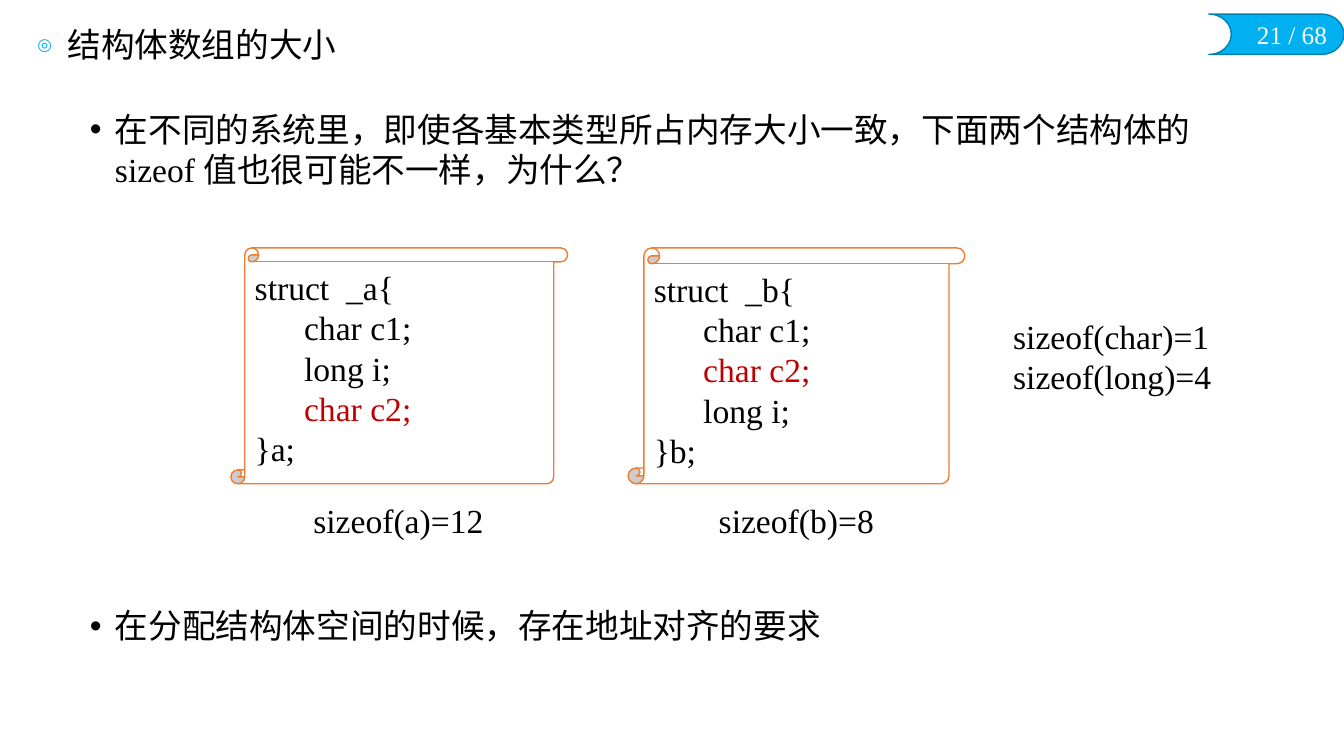
from dataclasses import dataclass

from lxml.etree import SubElement
from pptx import Presentation
from pptx.dml.color import RGBColor
from pptx.enum.shapes import MSO_SHAPE as Shape
from pptx.enum.text import MSO_ANCHOR as Anchor, MSO_AUTO_SIZE as AutoSize, PP_ALIGN as Align
from pptx.oxml.ns import qn
from pptx.util import Inches, Pt


@dataclass(frozen=True)
class Theme:
    font: str = "Times New Roman"
    text_size: int = 24
    number_size: int = 18
    black: str = "000000"
    white: str = "FFFFFF"
    red: str = "C00000"
    blue: str = "00B0F0"
    dark_blue: str = "0082B2"
    orange: str = "ED7D31"


theme = Theme()


def write(frame, lines, size=theme.text_size, color=theme.black, accent=None,
          align=Align.LEFT, anchor=Anchor.TOP, wrap=True, spacing=1.0,
          bullet=None, bullet_color=None, indent=0, tab=None, gap=0):
    """Fill a text frame; accent is a line shown in red, gap the points between lines."""
    frame.auto_size = AutoSize.NONE
    frame.word_wrap = wrap
    frame.vertical_anchor = anchor
    for index, line in enumerate(lines):
        paragraph = frame.add_paragraph() if index else frame.paragraphs[0]
        paragraph.alignment = align
        paragraph.line_spacing = spacing
        paragraph.space_before = Pt(gap if index else 0)
        paragraph.space_after = Pt(0)
        properties = paragraph._p.get_or_add_pPr()
        if bullet:
            properties.set("marL", str(Inches(indent)))
            properties.set("indent", str(-Inches(indent)))
            if bullet_color:
                color_element = SubElement(properties, qn("a:buClr"))
                SubElement(color_element, qn("a:srgbClr"), val=bullet_color)
                SubElement(properties, qn("a:buSzPct"), val="50000")
            SubElement(properties, qn("a:buFont"), typeface="Arial")
            SubElement(properties, qn("a:buChar"), char=bullet)
        if tab:
            tabs = SubElement(properties, qn("a:tabLst"))
            SubElement(tabs, qn("a:tab"), pos=str(Inches(tab)), algn="l")
        run = paragraph.add_run()
        run.text = line
        run.font.name = theme.font
        run.font.size = Pt(size)
        run.font.color.rgb = RGBColor.from_string(theme.red if line == accent else color)


def add_outlined_shape(kind, left, top, width, height, fill, line):
    shape = slide.shapes.add_shape(kind, Inches(left), Inches(top), Inches(width), Inches(height))
    shape.shadow.inherit = False
    shape.fill.solid()
    shape.fill.fore_color.rgb = RGBColor.from_string(fill)
    shape.line.color.rgb = RGBColor.from_string(line)
    shape.line.width = Pt(1)
    return shape


presentation = Presentation()
presentation.slide_width = Inches(13.33)
presentation.slide_height = Inches(7.5)
slide = presentation.slides.add_slide(presentation.slide_layouts[1])

# Page number tab
page_tab = add_outlined_shape(Shape.FLOWCHART_STORED_DATA, 11.99, 0.14, 1.34, 0.4,
                              theme.blue, theme.dark_blue)
page_tab._element.spPr.find(qn("a:xfrm")).set("flipH", "1")
page_number = slide.shapes.add_textbox(Inches(12.31), Inches(0.14), Inches(0.95), Inches(0.4))
write(page_number.text_frame, ["21 / 68"], size=theme.number_size, color=theme.white,
      align=Align.RIGHT, wrap=False)

# Title and bullets
title = slide.shapes.title
title.left, title.top, title.width, title.height = map(Inches, (0.27, 0.23, 6.37, 0.46))
write(title.text_frame, ["结构体数组的大小"], anchor=Anchor.MIDDLE, spacing=0.9,
      bullet="◎", bullet_color=theme.blue, indent=0.3)

body = slide.placeholders[1]
body.left, body.top, body.width, body.height = map(Inches, (0.79, 1.03, 11.71, 6.07))
write(body.text_frame,
      ["在不同的系统里，即使各基本类型所占内存大小一致，下面两个结构体的 sizeof 值也很可能不一样，为什么？",
       "在分配结构体空间的时候，存在地址对齐的要求"],
      bullet="•", indent=0.25, gap=297)

# Struct definitions on scrolls
scrolls = [
    (2.29, 0.059, ["struct  _a{", "\tchar c1;", "\tlong i;", "\tchar c2;", "}a;"]),
    (6.23, 0.067, ["struct  _b{", "\tchar c1;", "\tchar c2;", "\tlong i;", "}b;"]),
]
for left, curl, code in scrolls:
    scroll = add_outlined_shape(Shape.VERTICAL_SCROLL, left, 2.46, 3.34, 2.34,
                                theme.white, theme.orange)
    scroll.adjustments[0] = curl
    write(scroll.text_frame, code, accent="\tchar c2;", tab=0.49)

# Sizes
size_notes = [
    (9.95, 3.08, 2.18, 0.91, ["sizeof(char)=1", "sizeof(long)=4"]),
    (3.01, 4.91, 1.9, 0.5, ["sizeof(a)=12"]),
    (7.03, 4.91, 1.76, 0.5, ["sizeof(b)=8"]),
]
for left, top, width, height, lines in size_notes:
    note = slide.shapes.add_textbox(Inches(left), Inches(top), Inches(width), Inches(height))
    write(note.text_frame, lines, wrap=False)

presentation.save("out.pptx")
